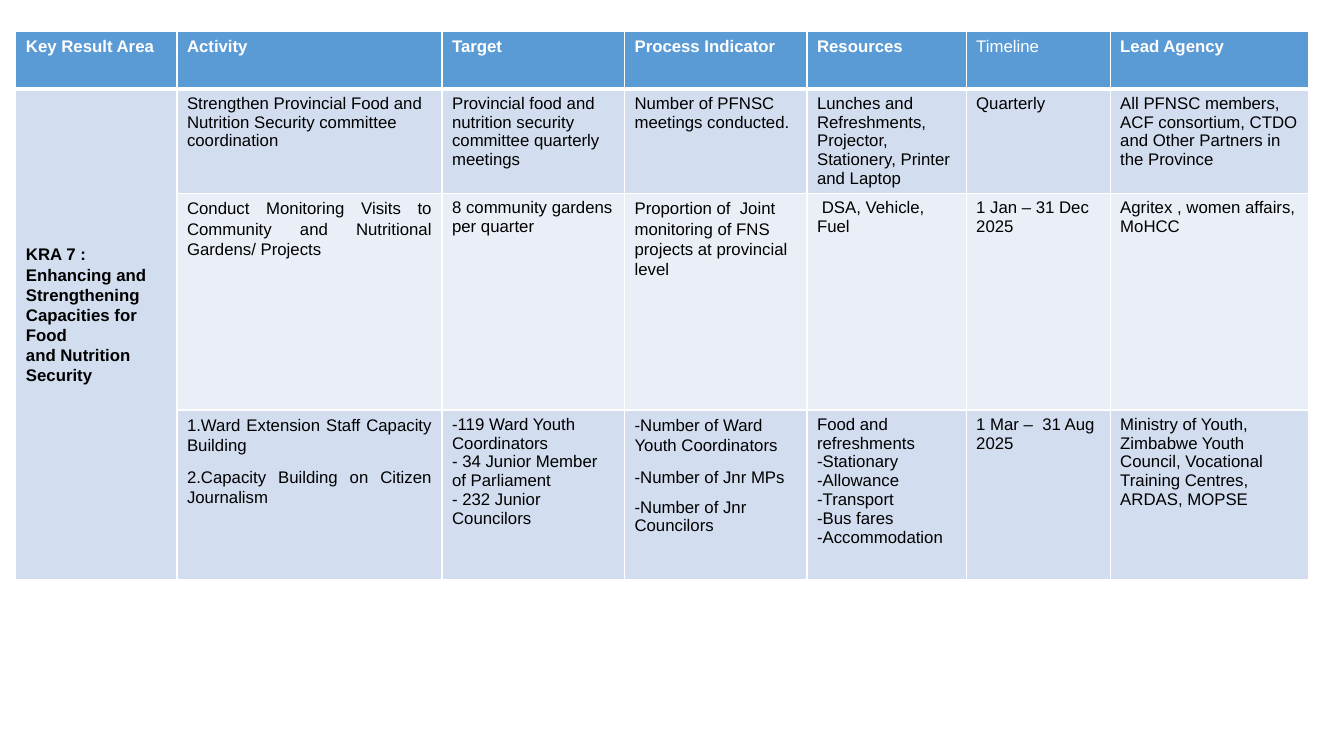
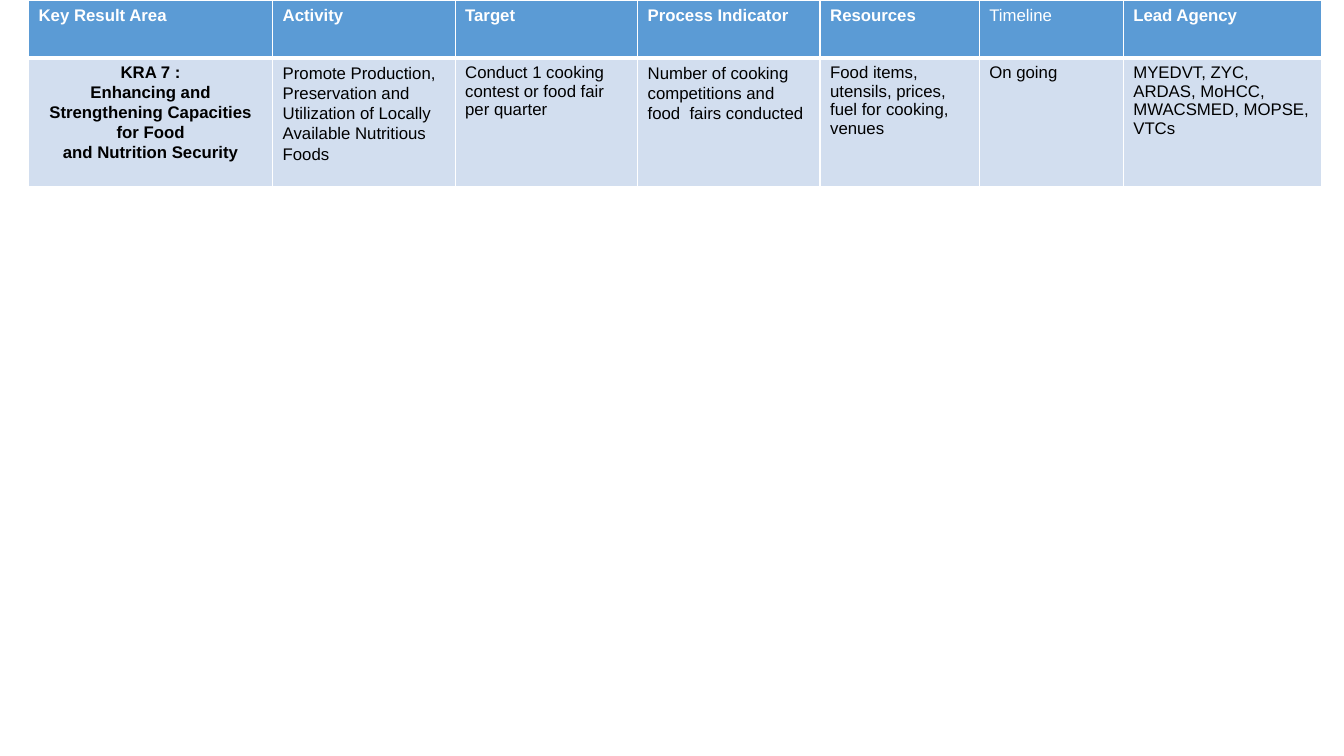
import pptx
import pptx.util
import pptx.dml.color
import pptx.enum.text
import pptx.oxml.ns
from lxml import etree

Cm = pptx.util.Cm
Pt = pptx.util.Pt
RGBColor = pptx.dml.color.RGBColor
ALIGN = pptx.enum.text.PP_ALIGN
ANCHOR = pptx.enum.text.MSO_ANCHOR
qn = pptx.oxml.ns.qn

WHITE = RGBColor(0xFF, 0xFF, 0xFF)
BLACK = RGBColor(0x00, 0x00, 0x00)
HEADER_BLUE = RGBColor(0x5B, 0x9B, 0xD5)
BAND_DARK = RGBColor(0xD2, 0xDE, 0xEF)
BAND_LIGHT = RGBColor(0xEA, 0xEF, 0xF7)

FONT = "Arial"
FONT_SIZE = Pt(12)
LOOSE = 1.07
HEADER_HEIGHT = 1.46
SHARED_WIDTHS = [4.6, 4.6, 4.01, 3.63, 5.0]
ACTIVITY_COL, TARGET_COL, INDICATOR_COL, RESOURCES_COL = 1, 2, 3, 4
LOOSE_COLS = (ACTIVITY_COL, INDICATOR_COL)

HEADERS = ["Key Result Area", "Activity", "Target", "Process Indicator",
           "Resources", "Timeline", "Lead Agency"]
KRA = ("KRA 7 :\nEnhancing and Strengthening Capacities for Food\n"
       "and Nutrition Security")

COORDINATION_ROWS = [
    [KRA,
     "Strengthen Provincial Food and Nutrition Security committee coordination",
     "Provincial food and nutrition security committee quarterly meetings",
     "Number of PFNSC meetings conducted.",
     "Lunches and Refreshments, Projector, Stationery, Printer and Laptop",
     "Quarterly",
     "All PFNSC members, ACF consortium, CTDO and Other Partners in the Province"],
    ["",
     "Conduct Monitoring Visits to Community and Nutritional Gardens/ Projects",
     "8 community gardens per quarter",
     "Proportion of  Joint monitoring of FNS projects at provincial level",
     "DSA, Vehicle, Fuel",
     "1 Jan – 31 Dec 2025",
     "Agritex , women affairs, MoHCC"],
    ["",
     "1.Ward Extension Staff Capacity Building\n"
     "2.Capacity Building on Citizen Journalism",
     "-119 Ward Youth Coordinators\n- 34 Junior Member of Parliament\n"
     "- 232 Junior Councilors",
     "-Number of Ward Youth Coordinators\n-Number of Jnr MPs\n"
     "-Number of Jnr Councilors",
     "Food and refreshments\n-Stationary\n-Allowance\n-Transport\n-Bus fares\n"
     "-Accommodation",
     "1 Mar –  31 Aug 2025",
     "Ministry of Youth,\nZimbabwe Youth Council, Vocational Training Centres, "
     "ARDAS, MOPSE"],
]

NUTRITION_ROWS = [
    [KRA,
     "Promote Production, Preservation and Utilization of Locally Available "
     "Nutritious Foods",
     "Conduct 1 cooking contest or food fair per quarter",
     "Number of cooking competitions and food  fairs conducted",
     "Food items, utensils, prices, fuel for cooking, venues",
     "On going",
     "MYEDVT, ZYC, ARDAS, MoHCC, MWACSMED, MOPSE, VTCs"],
]


def set_borders(cell, top=1, bottom=1):
    tcPr = cell._tc.get_or_add_tcPr()
    for tag, width in (("lnL", 1), ("lnR", 1), ("lnT", top), ("lnB", bottom)):
        ln = etree.SubElement(tcPr, qn("a:" + tag), w=str(Pt(width)))
        fill = etree.SubElement(ln, qn("a:solidFill"))
        etree.SubElement(fill, qn("a:srgbClr"), val=str(WHITE))


def fill_cell(cell, text, fill, color=BLACK, bold=False, loose=False,
              align=ALIGN.LEFT):
    cell.fill.solid()
    cell.fill.fore_color.rgb = fill
    tf = cell.text_frame
    tf.text = text
    for p in tf.paragraphs:
        p.alignment = align
        if loose:
            p.line_spacing = LOOSE
            p.space_after = Pt(8)
        p.font.size = FONT_SIZE
        for r in p.runs:
            r.font.name = FONT
            r.font.size = FONT_SIZE
            r.font.bold = bold
            r.font.color.rgb = color


def fill_kra(cell, align):
    fill_cell(cell, KRA, BAND_DARK, bold=True, align=align)
    for p in cell.text_frame.paragraphs[1:]:
        p.line_spacing = LOOSE


def add_plan_table(prs, left, top, first_widths, heights, rows, loose_rows,
                   kra_align, activity_align):
    s = prs.slides.add_slide(prs.slide_layouts[6])
    widths = first_widths + SHARED_WIDTHS
    heights = [HEADER_HEIGHT] + heights
    table = s.shapes.add_table(len(heights), len(widths), Cm(left), Cm(top),
                               Cm(sum(widths)), Cm(sum(heights))).table
    table.first_row = False
    table.horz_banding = False
    for column, width in zip(table.columns, widths):
        column.width = Cm(width)
    for row, height in zip(table.rows, heights):
        row.height = Cm(height)

    for j, header in enumerate(HEADERS):
        cell = table.cell(0, j)
        set_borders(cell, bottom=3)
        fill_cell(cell, header, HEADER_BLUE, WHITE,
                  bold=header != "Timeline", loose=True)
    for i, texts in enumerate(rows, 1):
        band = BAND_DARK if i % 2 else BAND_LIGHT
        for j, text in enumerate(texts):
            cell = table.cell(i, j)
            set_borders(cell, top=3 if i == 1 else 1)
            if j:
                fill_cell(cell, text, band,
                          loose=i in loose_rows and j in LOOSE_COLS,
                          align=activity_align if i in loose_rows
                          and j == ACTIVITY_COL else ALIGN.LEFT)
    fill_kra(table.cell(1, 0), kra_align)
    return table


def main():
    prs = pptx.Presentation()
    prs.slide_width = Cm(33.87)
    prs.slide_height = Cm(19.05)

    table = add_plan_table(prs, 0.4, 0.78, [4.06, 6.68], [2.63, 5.46, 4.28],
                           COORDINATION_ROWS, (2, 3), ALIGN.LEFT, ALIGN.JUSTIFY)
    kra = table.cell(1, 0)
    kra.merge(table.cell(3, 0))
    kra.vertical_anchor = ANCHOR.MIDDLE
    kra.margin_bottom = Cm(1.08)
    table.cell(3, INDICATOR_COL).text_frame.paragraphs[-1].line_spacing = 1.0
    vehicle = table.cell(2, RESOURCES_COL).text_frame.paragraphs[0]
    vehicle._p.get_or_add_pPr().set("indent", str(Cm(0.12)))

    add_plan_table(prs, 0.72, 0, [6.15, 4.6], [3.24],
                   NUTRITION_ROWS, (1,), ALIGN.CENTER, ALIGN.LEFT)
    prs.save("out.pptx")


if __name__ == "__main__":
    main()
